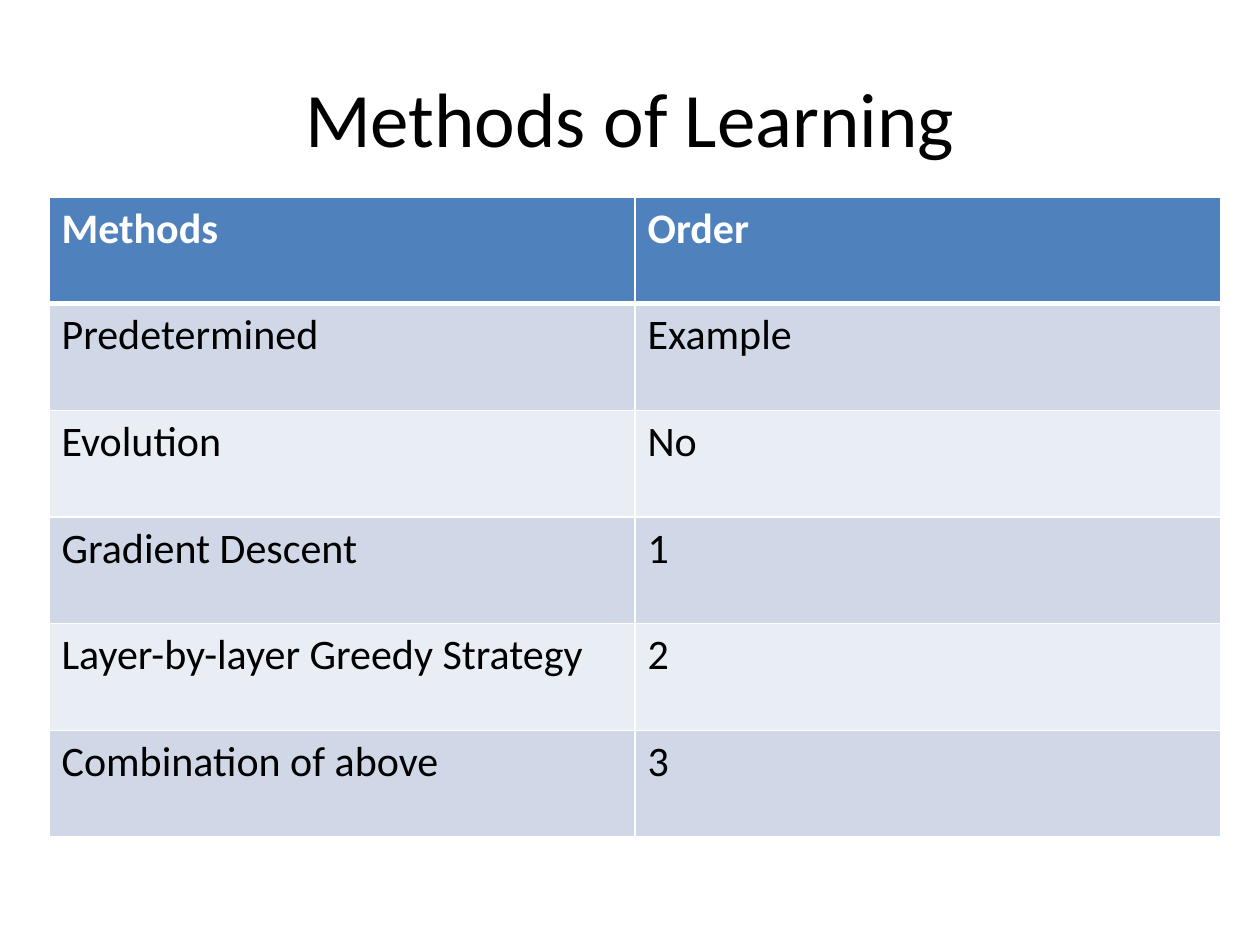
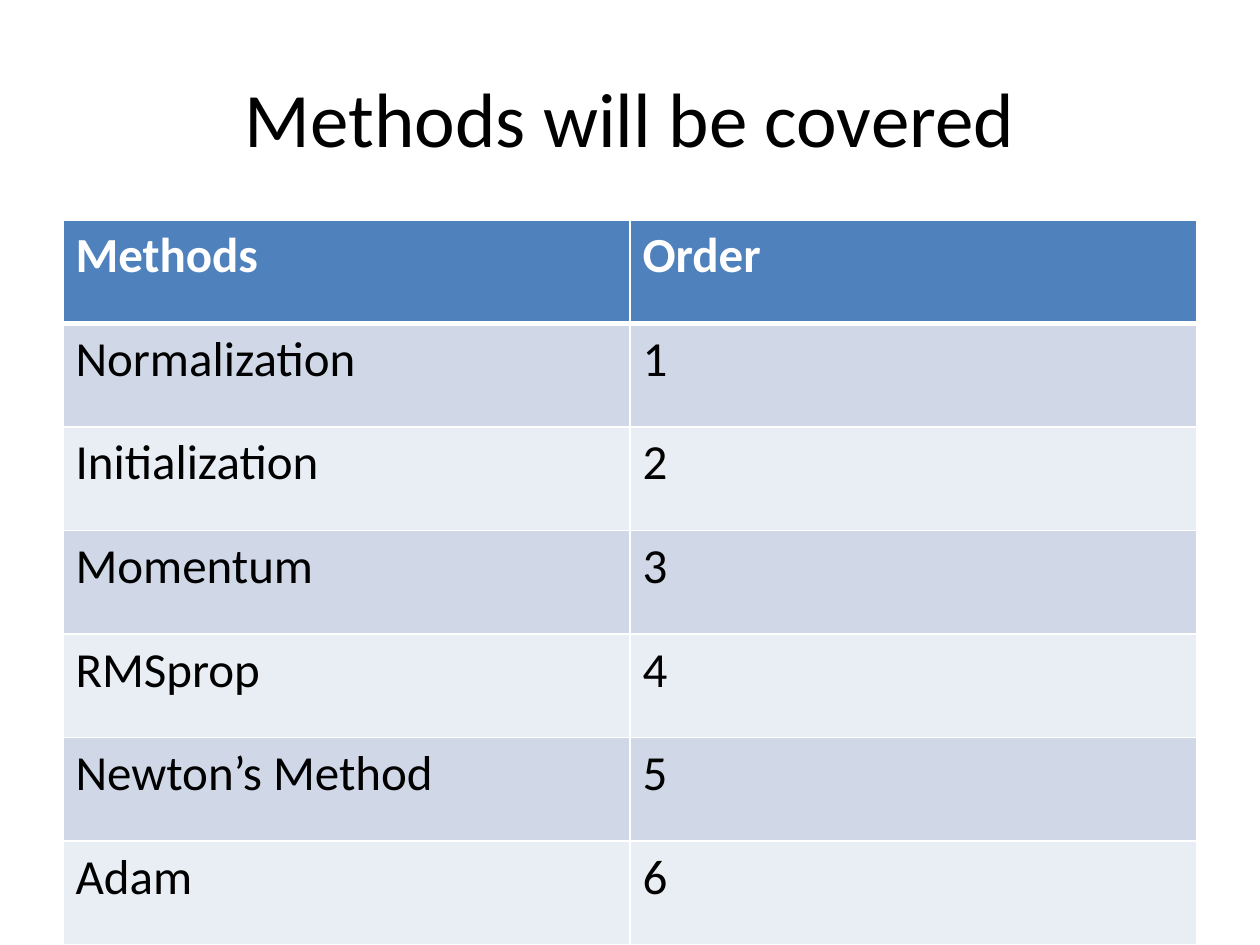
from lxml.etree import SubElement
from pptx import Presentation
from pptx.dml.color import RGBColor
from pptx.enum.text import MSO_ANCHOR, PP_ALIGN
from pptx.oxml.ns import qn
from pptx.util import Emu, Pt

PX_PER_INCH = 126
FONT = "Calibri"
WHITE = RGBColor(0xFF, 0xFF, 0xFF)
BLACK = RGBColor(0x00, 0x00, 0x00)
HEADER_BLUE = RGBColor(0x4F, 0x81, 0xBD)
BAND_DARK = RGBColor(0xD0, 0xD8, 0xE8)
BAND_LIGHT = RGBColor(0xE9, 0xED, 0xF4)

TITLE_BOX = (63, 38, 1134, 157)
TITLE_SIZE = 44
THIN_RULE = 1
HEADER_RULE = 3

HEADER = ("Methods", "Order")
LEARNING_METHODS = [
    ("Predetermined", "Example"),
    ("Evolution", "No"),
    ("Gradient Descent", "1"),
    ("Layer-by-layer Greedy Strategy", "2"),
    ("Combination of above", "3"),
]
COVERED_METHODS = [
    ("Normalization", "1"),
    ("Initialization", "2"),
    ("Momentum", "3"),
    ("RMSprop", "4"),
    ("Newton’s Method", "5"),
    ("Adam", "6"),
]


def px(length):
    """Turn a length in px into EMU."""
    return Emu(round(length * 914400 / PX_PER_INCH))


def add_run(paragraph, text, size, color, bold=False):
    """Add one styled run to a paragraph."""
    run = paragraph.add_run()
    run.text = text
    run.font.name = FONT
    run.font.size = Pt(size)
    run.font.bold = bold
    run.font.color.rgb = color


def add_title(slide, text):
    """Add the centred slide title."""
    shape = slide.shapes.add_textbox(*map(px, TITLE_BOX))
    frame = shape.text_frame
    frame.word_wrap = True
    frame.vertical_anchor = MSO_ANCHOR.MIDDLE
    paragraph = frame.paragraphs[0]
    paragraph.alignment = PP_ALIGN.CENTER
    add_run(paragraph, text, TITLE_SIZE, BLACK)


def set_borders(cell, top, bottom):
    """Draw white borders round a cell, with top and bottom widths in points."""
    properties = cell._tc.get_or_add_tcPr()
    widths = {"a:lnL": THIN_RULE, "a:lnR": THIN_RULE, "a:lnT": top, "a:lnB": bottom}
    for tag, width in widths.items():
        line = SubElement(properties, qn(tag), w=str(Pt(width)))
        fill = SubElement(line, qn("a:solidFill"))
        SubElement(fill, qn("a:srgbClr"), val=str(WHITE))


def style_cell(cell, text, row_index, size):
    """Fill one cell as a header or as part of a light or dark band."""
    is_header = row_index == 0
    top = HEADER_RULE if row_index == 1 else THIN_RULE
    set_borders(cell, top, HEADER_RULE if is_header else THIN_RULE)
    band = BAND_DARK if row_index % 2 else BAND_LIGHT
    cell.fill.solid()
    cell.fill.fore_color.rgb = HEADER_BLUE if is_header else band
    color = WHITE if is_header else BLACK
    add_run(cell.text_frame.paragraphs[0], text, size, color, is_header)


def add_methods_table(slide, box, methods, size):
    """Add a two-column table of methods with equal rows and columns."""
    rows = [HEADER, *methods]
    left, top, width, height = box
    frame = slide.shapes.add_table(len(rows), len(HEADER), *map(px, box))
    table = frame.table
    for column in table.columns:
        column.width = px(width / len(HEADER))
    for row_index, values in enumerate(rows):
        table.rows[row_index].height = px(height / len(rows))
        for column_index, text in enumerate(values):
            style_cell(table.cell(row_index, column_index), text, row_index, size)


def add_methods_slide(presentation, title, box, methods, size):
    """Add a slide with a title above a table of methods."""
    slide = presentation.slides.add_slide(presentation.slide_layouts[6])
    slide.background.fill.solid()
    slide.background.fill.fore_color.rgb = WHITE
    add_title(slide, title)
    add_methods_table(slide, box, methods, size)


def main():
    """Build and save the presentation."""
    presentation = Presentation()
    presentation.slide_width = px(1260)
    presentation.slide_height = px(945)
    add_methods_slide(presentation, "Methods of Learning",
                      (49, 197, 1172, 640), LEARNING_METHODS, 24)
    add_methods_slide(presentation, "Methods will be covered",
                      (63, 220, 1134, 725), COVERED_METHODS, 28)
    presentation.save("out.pptx")


if __name__ == "__main__":
    main()
